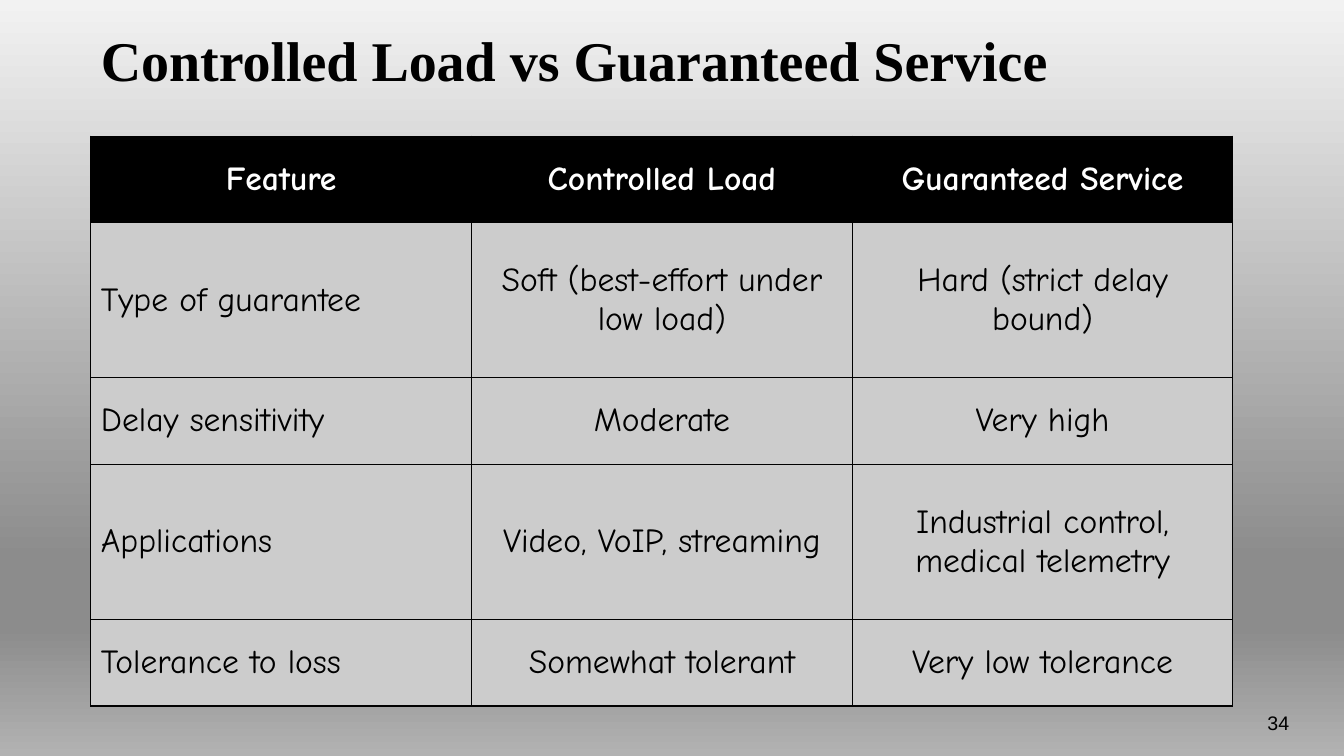
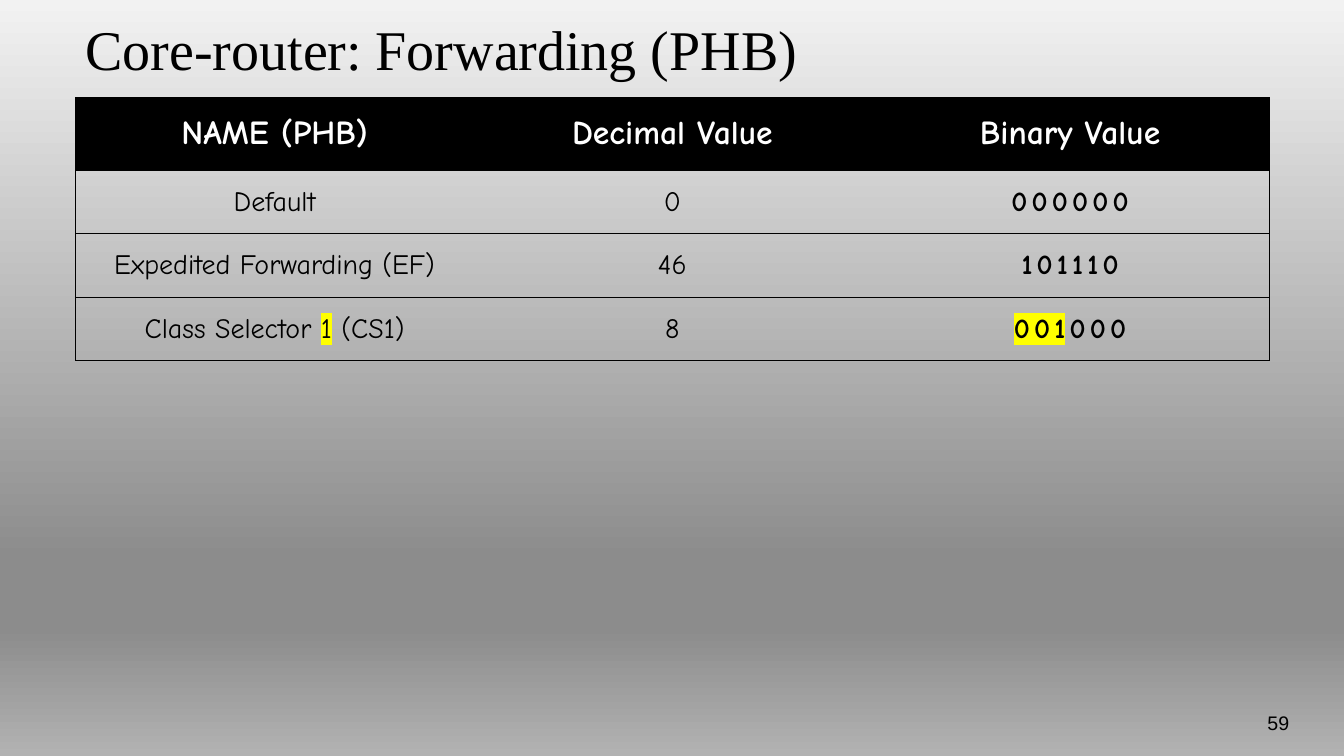
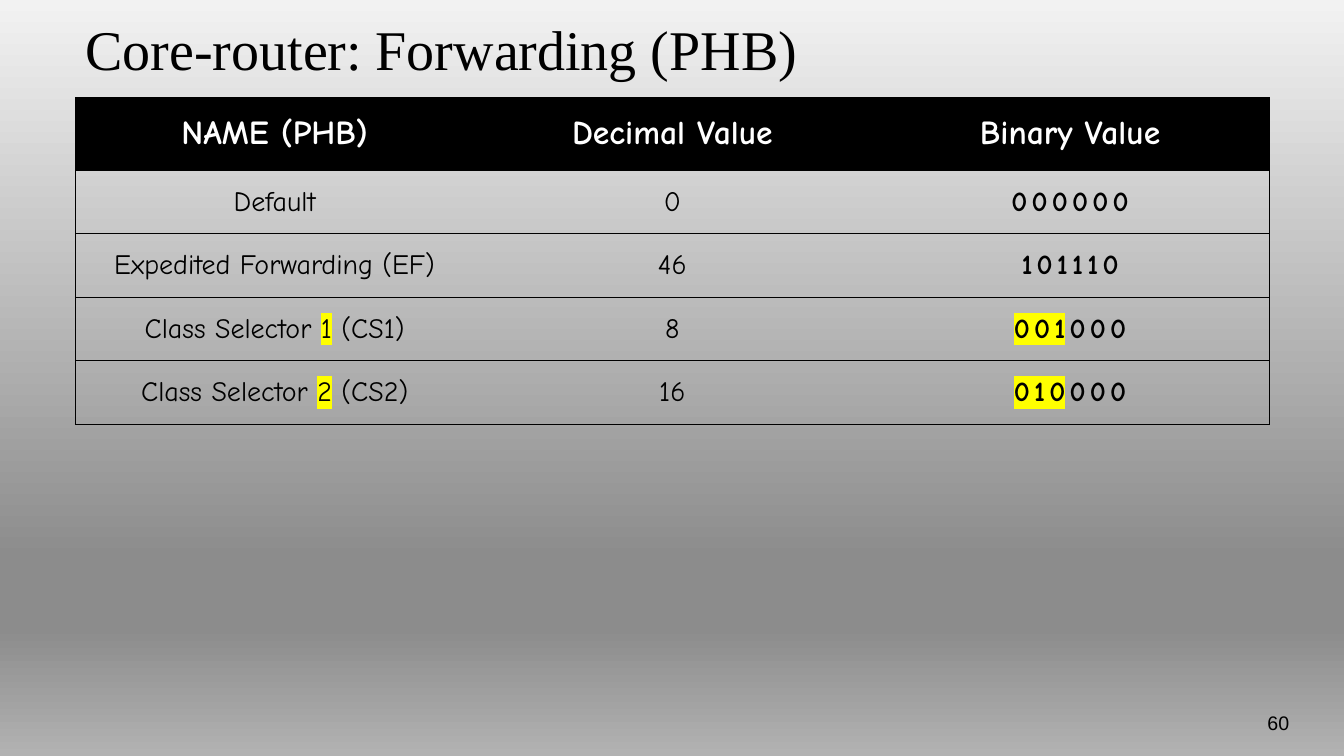
"""Build three slides that compare network service classes in tables."""
from lxml import etree
from pptx import Presentation
from pptx.dml.color import RGBColor
from pptx.enum.text import MSO_ANCHOR, PP_ALIGN
from pptx.oxml.ns import qn
from pptx.util import Cm, Pt

LEFT, CENTER, RIGHT = PP_ALIGN.LEFT, PP_ALIGN.CENTER, PP_ALIGN.RIGHT
TOP, MIDDLE = MSO_ANCHOR.TOP, MSO_ANCHOR.MIDDLE


def color(value):
    return RGBColor.from_string(value)


def add_color(parent, value):
    etree.SubElement(parent, qn("a:srgbClr"), val=value)


class Slides:
    BLACK, WHITE, GREY, YELLOW = "000000", "FFFFFF", "CCCCCC", "FFFF00"
    TITLE_FONT, TABLE_FONT, NUMBER_FONT = "Times New Roman", "Comic Neue", "Arial"
    BACKGROUND = [(0, "F2F2F2"), (74, "8C8C8C"), (83, "8C8C8C"), (100, "B2B2B2")]

    def __init__(self):
        self.deck = Presentation()
        self.deck.slide_width, self.deck.slide_height = Cm(33.87), Cm(19.05)
        self.page = None
        self.paint_background()

    def paint_background(self):
        master = self.deck.slide_master
        fill = master.background.fill
        fill.gradient()
        fill.gradient_angle = 270
        stops = master.element.find(".//" + qn("a:gsLst"))
        for stop in list(stops):
            stops.remove(stop)
        for percent, value in self.BACKGROUND:
            add_color(etree.SubElement(stops, qn("a:gs"), pos=str(percent * 1000)), value)

    def add_page(self, number):
        self.page = self.deck.slides.add_slide(self.deck.slide_layouts[6])
        self.text(str(number), (30.23, 17.78, 2.51, 1.27), self.NUMBER_FONT, 14, RIGHT, TOP)

    def style(self, para, font, size, value, bold, align):
        para.alignment = align
        para.font.name, para.font.size, para.font.bold = font, Pt(size), bold
        para.font.color.rgb = color(value)

    def text(self, words, place, font, size, align, anchor, bold=False):
        box = self.page.shapes.add_textbox(*map(Cm, place))
        frame = box.text_frame
        frame.word_wrap, frame.vertical_anchor = True, anchor
        para = frame.paragraphs[0]
        para.add_run().text = words
        self.style(para, font, size, self.BLACK, bold, align)

    def title(self, words, place, bold=False):
        self.text(words, place, self.TITLE_FONT, 40, LEFT, MIDDLE, bold)

    def spans(self, para, words, spacing):
        for index, piece in enumerate(words.split("|")):
            if not piece:
                continue
            span = para.add_run()
            span.text = piece
            if spacing:
                span.font._element.set("spc", str(spacing * 100))
            if index % 2:
                add_color(etree.SubElement(span.font._element, qn("a:highlight")), self.YELLOW)

    def borders(self, cell, width, hidden):
        properties = cell._tc.get_or_add_tcPr()
        for position, side in enumerate(("lnL", "lnR", "lnT", "lnB")):
            line = etree.Element(qn("a:" + side), w=str(Pt(width)))
            if side in hidden:
                etree.SubElement(line, qn("a:noFill"))
            else:
                add_color(etree.SubElement(line, qn("a:solidFill")), self.BLACK)
            properties.insert(position, line)

    def table(self, rows, left, top, width, heights, size, border, fill=None,
              first_align=CENTER, inner_lines=True, binary_last=False):
        count = len(rows[0])
        frame = self.page.shapes.add_table(
            len(rows), count, Cm(left), Cm(top), Cm(width), Cm(sum(heights)))
        table = frame.table
        table.horz_banding = False
        for row, height in zip(table.rows, heights):
            row.height = Cm(height)
        for r, row in enumerate(rows):
            for c, words in enumerate(row):
                cell = table.cell(r, c)
                cell.vertical_anchor = MIDDLE
                header = r == 0
                binary = binary_last and not header and c == count - 1
                if header or fill:
                    cell.fill.solid()
                    cell.fill.fore_color.rgb = color(self.BLACK if header else fill)
                else:
                    cell.fill.background()
                hidden = set()
                if not inner_lines:
                    hidden = {"lnL"} if c > 0 else set()
                    hidden |= {"lnR"} if c < count - 1 else set()
                self.borders(cell, border, hidden)
                para = cell.text_frame.paragraphs[0]
                self.spans(para, words, 3 if binary else 0)
                self.style(para, self.TABLE_FONT, 24 if header else size,
                           self.WHITE if header else self.BLACK, header or binary,
                           first_align if c == 0 and not header else CENTER)


SERVICES = [
    ("Feature", "Controlled Load", "Guaranteed Service"),
    ("Type of guarantee", "Soft (best-effort under low load)", "Hard (strict delay bound)"),
    ("Delay sensitivity", "Moderate", "Very high"),
    ("Applications", "Video, VoIP, streaming", "Industrial control, medical telemetry"),
    ("Tolerance to loss", "Somewhat tolerant", "Very low tolerance"),
]
BEHAVIORS = [
    ("NAME (PHB)", "Decimal Value", "Binary Value"),
    ("Default", "0", "000000"),
    ("Expedited Forwarding (EF)", "46", "101110"),
    ("Class Selector |1| (CS1)", "8", "|001|000"),
    ("Class Selector |2| (CS2)", "16", "|010|000"),
]


def main():
    slides = Slides()
    slides.add_page(34)
    slides.title("Controlled Load vs Guaranteed Service", (2.29, 0.71, 30.1, 1.57), bold=True)
    slides.table(SERVICES, 2.29, 3.43, 28.78, [2.18, 3.91, 2.18, 3.91, 2.18], 24, 1,
                 fill=slides.GREY, first_align=LEFT)
    for number, count in ((59, 4), (60, 5)):
        slides.add_page(number)
        slides.title("Core-router: Forwarding (PHB)", (1.91, 0, 30.07, 2.41))
        slides.table(BEHAVIORS[:count], 1.91, 2.46, 30.07, [1.83] + [1.6] * (count - 1), 20,
                     0.75, inner_lines=False, binary_last=True)
    slides.deck.save("out.pptx")


if __name__ == "__main__":
    main()
